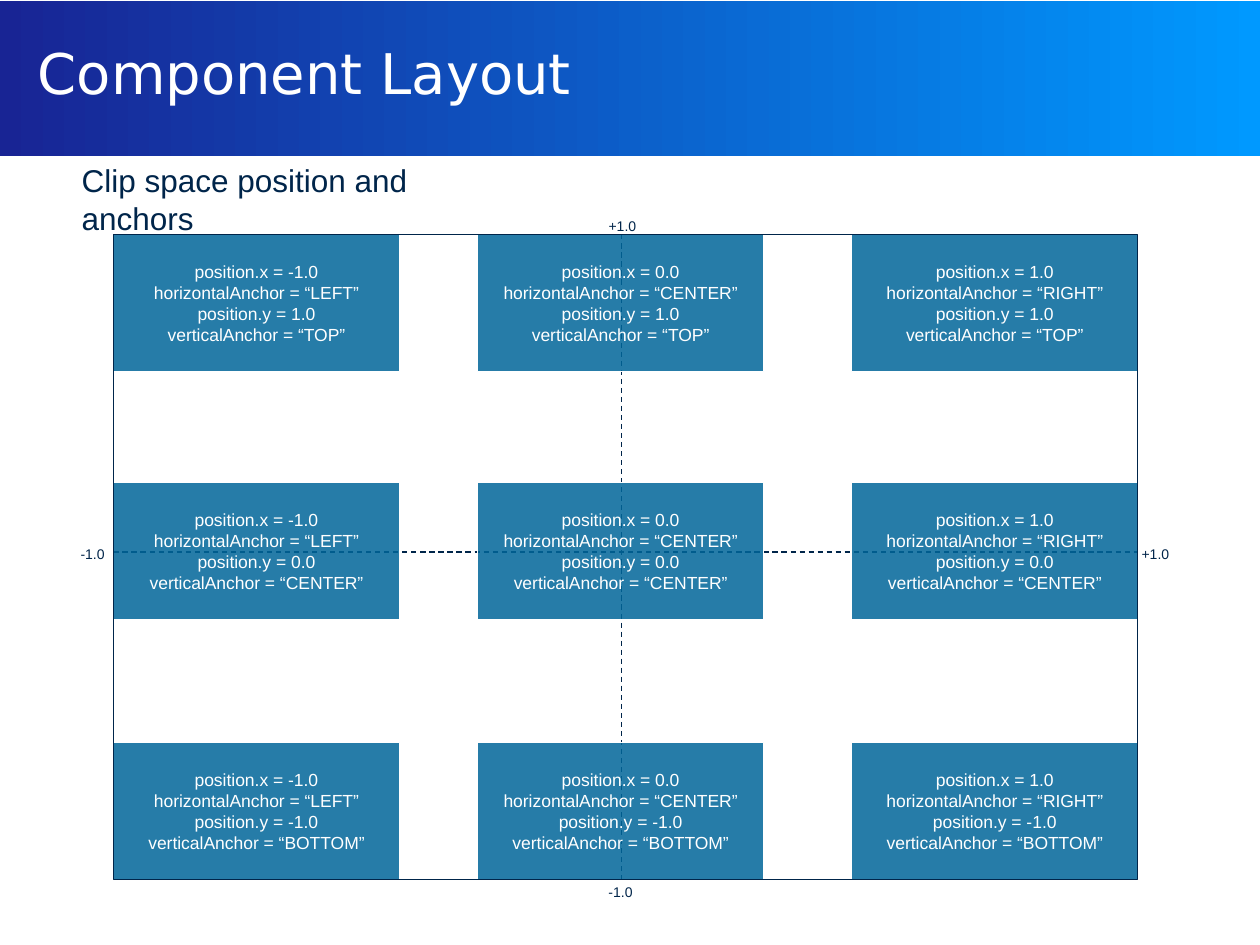
"""Build the component layout slide with its nine anchored tiles."""
from lxml.etree import SubElement
from pptx import Presentation
from pptx.dml.color import RGBColor
from pptx.enum.dml import MSO_LINE
from pptx.enum.shapes import MSO_CONNECTOR, MSO_SHAPE
from pptx.enum.text import MSO_ANCHOR, PP_ALIGN
from pptx.oxml.ns import qn
from pptx.util import Inches, Pt

INK = {"navy": "00254A", "tile": "006699", "white": "FFFFFF",
       "dark": "182494", "bright": "0099FF"}
LEFT, TOP, WIDE, HIGH = 0.9, 1.86, 8.13, 5.12
MID_X, MID_Y = 4.93, 4.38
TILE_W, TILE_H = 2.27, 1.09
COLS = [(LEFT, "-1.0", "LEFT"), (3.79, "0.0", "CENTER"),
        (LEFT + WIDE - TILE_W, "1.0", "RIGHT")]
ROWS = [(TOP, "1.0", "TOP"), (3.83, "0.0", "CENTER"),
        (TOP + HIGH - TILE_H, "-1.0", "BOTTOM")]
MARKS = [(0.54, 4.28, 0.39, "-1.0"), (8.96, 4.28, 0.42, "+1.0"),
         (4.73, 1.68, 0.42, "+1.0"), (4.73, 6.96, 0.39, "-1.0")]


def tint(name):
    """Return a named colour."""
    return RGBColor.from_string(INK[name])


def write(frame, text, size, name, align=PP_ALIGN.LEFT, face="Arial"):
    """Put one formatted paragraph into a text frame."""
    para = frame.paragraphs[0]
    para.text = text
    para.alignment = align
    for run in para.runs:
        run.font.size = Pt(size)
        run.font.name = face
        run.font.color.rgb = tint(name)
    for gap in para._p.findall(qn("a:br")):
        SubElement(gap, qn("a:rPr"), sz=str(size * 100))


def add_box(slide, area, edge=None):
    """Add a plain rectangle, with an outline if a colour is named."""
    box = slide.shapes.add_shape(MSO_SHAPE.RECTANGLE, *map(Inches, area))
    box.shadow.inherit = False
    box.fill.background()
    if edge:
        box.line.color.rgb = tint(edge)
        box.line.width = Pt(0.75)
    else:
        box.line.fill.background()
    return box


def add_band(slide):
    """Add the gradient band behind the title."""
    fill = add_box(slide, (0, 0.01, 10, 1.23)).fill
    fill.gradient()
    fill.gradient_angle = 0
    for stop, name in zip(fill.gradient_stops, ("dark", "bright")):
        stop.color.rgb = tint(name)


def set_title(slide, text):
    """Place and format the title, in front of the band."""
    title = slide.shapes.title
    title.left, title.top, title.width, title.height = map(
        Inches, (0.2, 0, 9.57, 1.15))
    title.text_frame.vertical_anchor = MSO_ANCHOR.MIDDLE
    write(title.text_frame, text, 32, "white", face="DejaVu Sans")
    slide.shapes._spTree.append(title._element)


def add_axis(slide, start, end):
    """Add a dashed axis."""
    axis = slide.shapes.add_connector(
        MSO_CONNECTOR.STRAIGHT, *map(Inches, start + end))
    axis.line.color.rgb = tint("navy")
    axis.line.width = Pt(0.75)
    axis.line.dash_style = MSO_LINE.DASH
    SubElement(axis._element.spPr, qn("a:effectLst"))


def add_tile(slide, col, row):
    """Add a translucent tile that names its position and anchors."""
    left, x, across = col
    top, y, down = row
    tile = add_box(slide, (left, top, TILE_W, TILE_H), "white")
    tile.fill.solid()
    tile.fill.fore_color.rgb = tint("tile")
    shade = tile._element.spPr.find(qn("a:solidFill")).find(qn("a:srgbClr"))
    SubElement(shade, qn("a:alpha"), val="85000")
    tile.text_frame.word_wrap = False
    tile.text_frame.vertical_anchor = MSO_ANCHOR.MIDDLE
    text = (f"position.x = {x}\nhorizontalAnchor = “{across}”\n"
            f"position.y = {y}\nverticalAnchor = “{down}”")
    write(tile.text_frame, text, 10, "white", PP_ALIGN.CENTER)


def add_label(slide, area, text, size, align):
    """Add a one-line text box."""
    label = slide.shapes.add_textbox(*map(Inches, area))
    label.text_frame.word_wrap = False
    write(label.text_frame, text, size, "navy", align)


def main():
    """Build and save the slide."""
    deck = Presentation()
    deck.slide_width, deck.slide_height = Inches(10), Inches(7.5)
    slide = deck.slides.add_slide(deck.slide_layouts[5])
    add_band(slide)
    set_title(slide, "Component Layout")
    add_label(slide, (0.55, 1.23, 3.74, 0.4),
              "Clip space position and anchors", 18, PP_ALIGN.LEFT)
    add_axis(slide, (MID_X, TOP), (MID_X, TOP + HIGH))
    add_axis(slide, (LEFT, MID_Y), (LEFT + WIDE, MID_Y))
    for row in ROWS:
        for col in COLS:
            add_tile(slide, col, row)
    add_box(slide, (LEFT, TOP, WIDE, HIGH), "navy")
    for left, top, width, text in MARKS:
        add_label(slide, (left, top, width, 0.24), text, 8, PP_ALIGN.CENTER)
    deck.save("out.pptx")


if __name__ == "__main__":
    main()
